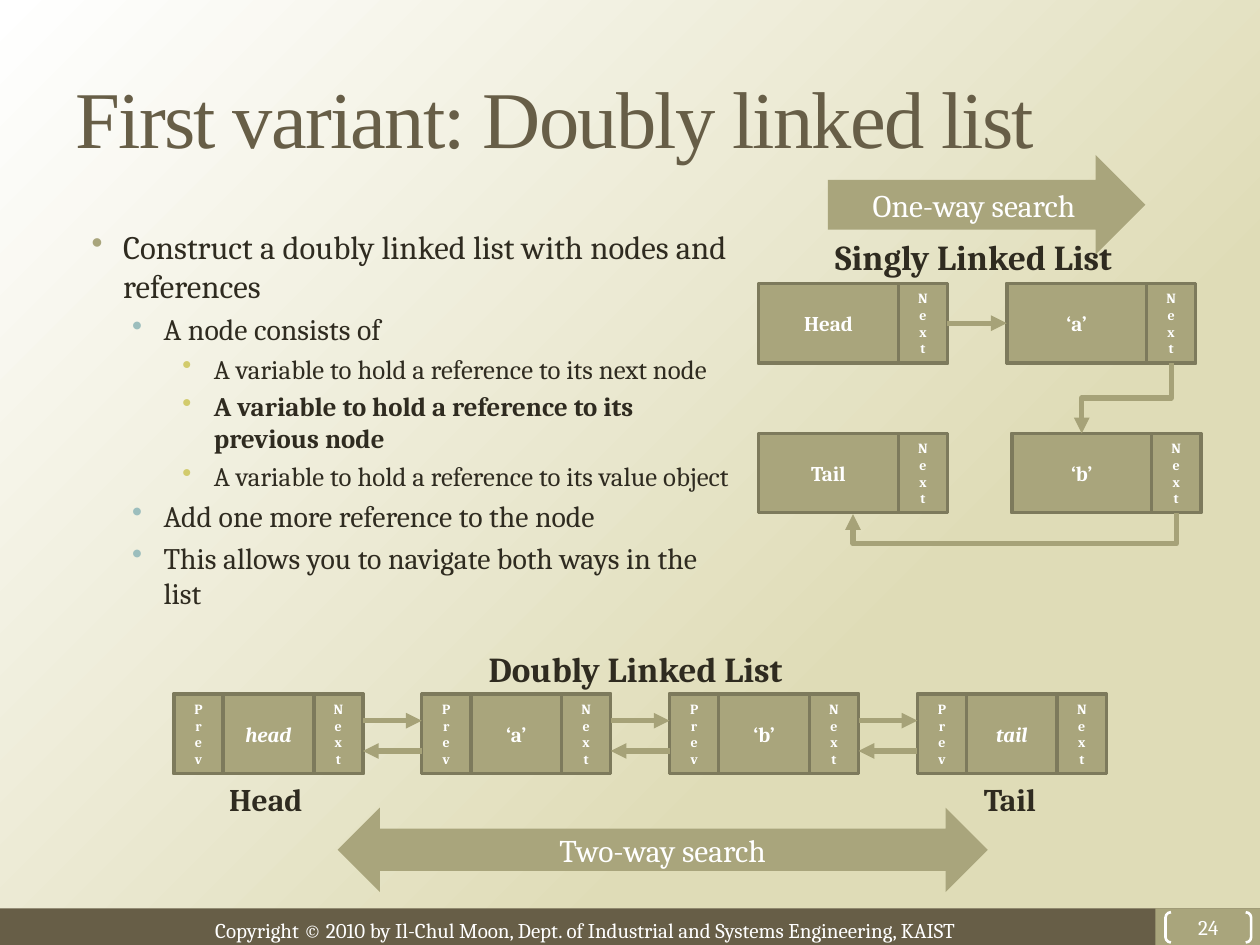
from copy import deepcopy
from dataclasses import dataclass

from lxml import etree
from pptx import Presentation
from pptx.dml.color import RGBColor
from pptx.enum.shapes import MSO_CONNECTOR, MSO_SHAPE
from pptx.enum.text import MSO_ANCHOR, MSO_AUTO_SIZE, PP_ALIGN
from pptx.oxml.ns import qn
from pptx.util import Inches, Pt

RECTANGLE = MSO_SHAPE.RECTANGLE
BRACKETS = MSO_SHAPE.DOUBLE_BRACKET
RIGHT_ARROW = MSO_SHAPE.RIGHT_ARROW
TWO_WAY_ARROW = MSO_SHAPE.LEFT_RIGHT_ARROW
STRAIGHT, ELBOW = MSO_CONNECTOR.STRAIGHT, MSO_CONNECTOR.ELBOW
MIDDLE, TOP = MSO_ANCHOR.MIDDLE, MSO_ANCHOR.TOP
LEFT, CENTER = PP_ALIGN.LEFT, PP_ALIGN.CENTER
GROW = MSO_AUTO_SIZE.SHAPE_TO_FIT_TEXT
TOP_SIDE, LEFT_SIDE, BOTTOM_SIDE, RIGHT_SIDE = range(4)

SLIDE_WIDTH, SLIDE_HEIGHT = Inches(10), Inches(7.5)
COLUMN, ROW = SLIDE_WIDTH / 100, SLIDE_HEIGHT / 75
NODE_WIDTH, NODE_HEIGHT, LINK_WIDTH = 15, 6.3, 3.9


@dataclass(frozen=True)
class Theme:
    serif: str = "Cambria"
    title_font: str = "Times New Roman"
    dark: str = "675E47"
    accent: str = "A9A57C"
    node_line: str = "7D7A5C"
    link_line: str = "A6A278"
    ink: str = "2F2B20"
    white: str = "FFFFFF"
    background: str = "DFDCB7"
    bullets: tuple = ("A9A57C", "9CBEBD", "D2CB6C")
    body_sizes: tuple = (18.7, 17, 15.3)
    body_indents: tuple = (0.38, 0.7, 1.1)
    title_size: float = 46
    heading_size: float = 20
    label_size: float = 18
    small_size: float = 12
    link_size: float = 8


THEME = Theme()


@dataclass(frozen=True)
class Box:
    left: float
    top: float
    width: float
    height: float

    def lengths(self) -> tuple:
        return (int(self.left * COLUMN), int(self.top * ROW),
                int(self.width * COLUMN), int(self.height * ROW))


@dataclass(frozen=True)
class Node:
    value: str
    left: float
    top: float
    has_previous: bool = False
    italic: bool = False


@dataclass(frozen=True)
class Bullet:
    text: str
    level: int
    bold: bool = False


@dataclass(frozen=True)
class Label:
    text: str
    box: Box
    size: float
    color: str = THEME.ink
    bold: bool = True


def write(paragraph, text: str, size: float, color: str, align=LEFT, **formats) -> None:
    paragraph.text = text
    paragraph.alignment = align
    values = {"name": THEME.serif, "size": Pt(size), "bold": False, **formats}
    for run in paragraph.runs:
        for name, value in values.items():
            setattr(run.font, name, value)
        run.font.color.rgb = RGBColor.from_string(color)
    for line_break in paragraph._p.findall(qn("a:br")):
        line_break.append(deepcopy(paragraph.runs[0]._r.rPr))


def add_block(shapes, kind, box: Box, fill=None, line=None, line_width=2.0):
    shape = shapes.add_shape(kind, *box.lengths())
    shape.shadow.inherit = False
    if fill:
        shape.fill.solid()
        shape.fill.fore_color.rgb = RGBColor.from_string(fill)
    else:
        shape.fill.background()
    if line:
        shape.line.color.rgb = RGBColor.from_string(line)
        shape.line.width = Pt(line_width)
    else:
        shape.line.fill.background()
    shape.text_frame.vertical_anchor = MIDDLE
    return shape


def add_text_frame(slide, box: Box, wrap: bool, anchor=TOP):
    frame = slide.shapes.add_textbox(*box.lengths()).text_frame
    frame.word_wrap = wrap
    frame.vertical_anchor = anchor
    return frame


def add_label(slide, label: Label) -> None:
    frame = add_text_frame(slide, label.box, wrap=False)
    frame.auto_size = GROW
    write(frame.paragraphs[0], label.text, label.size, label.color, bold=label.bold)


def add_bullets(slide, box: Box, bullets: list) -> None:
    frame = add_text_frame(slide, box, wrap=True)
    for index, bullet in enumerate(bullets):
        paragraph = frame.add_paragraph() if index else frame.paragraphs[0]
        size = THEME.body_sizes[bullet.level]
        write(paragraph, bullet.text, size, THEME.ink, bold=bullet.bold)
        paragraph.level = bullet.level
        paragraph.space_before = Pt(round(size * 0.2, 1) if index else 0)
        properties = paragraph._p.get_or_add_pPr()
        properties.set("marL", str(Inches(THEME.body_indents[bullet.level])))
        properties.set("indent", str(Inches(-0.25)))
        color = etree.SubElement(properties, qn("a:buClr"))
        etree.SubElement(color, qn("a:srgbClr"), val=THEME.bullets[bullet.level])
        etree.SubElement(properties, qn("a:buChar"), char="•")


def add_node(slide, node: Node) -> dict:
    shapes = slide.shapes.add_group_shape().shapes
    start = LINK_WIDTH if node.has_previous else 0
    end = NODE_WIDTH - LINK_WIDTH
    cells = [("frame", "", 0, NODE_WIDTH), ("next", "\v".join("Next"), end, LINK_WIDTH),
             ("value", node.value, start, end - start)]
    if node.has_previous:
        cells.append(("previous", "\v".join("Prev"), 0, LINK_WIDTH))
    parts = {}
    for role, text, offset, width in cells:
        box = Box(node.left + offset, node.top, width, NODE_HEIGHT)
        parts[role] = add_block(shapes, RECTANGLE, box, THEME.accent, THEME.node_line)
        if text:
            is_value = role == "value"
            size = THEME.small_size if is_value else THEME.link_size
            write(parts[role].text_frame.paragraphs[0], text, size, THEME.white, CENTER,
                  bold=True, italic=is_value and node.italic)
    return parts


def add_arrow(slide, kind, begin=(0, 0), end=(0, 0)):
    points = [int(value * unit) for point in (begin, end)
              for value, unit in zip(point, (COLUMN, ROW))]
    connector = slide.shapes.add_connector(kind, *points)
    connector.line.color.rgb = RGBColor.from_string(THEME.link_line)
    connector.line.width = Pt(3)
    properties = connector._element.spPr
    etree.SubElement(properties.find(qn("a:ln")), qn("a:tailEnd"), type="triangle")
    etree.SubElement(properties, qn("a:effectLst"))
    return connector


def join(slide, kind, source, source_side: int, target, target_side: int):
    connector = add_arrow(slide, kind)
    connector.begin_connect(source, source_side)
    connector.end_connect(target, target_side)
    return connector


def join_downward(slide, source, target, target_side: int, bend: float) -> None:
    connector = join(slide, ELBOW, source, BOTTOM_SIDE, target, target_side)
    across = abs(connector.end_x - connector.begin_x)
    drop = max(connector.end_y - connector.begin_y, int(0.1 * ROW))
    center_x = (connector.begin_x + connector.end_x) // 2
    center_y = connector.begin_y + drop // 2
    frame = {"left": center_x - drop // 2, "top": center_y - across // 2,
             "width": drop, "height": across}
    for name, value in frame.items():
        setattr(connector, name, value)
    properties = connector._element.spPr
    transform = properties.find(qn("a:xfrm"))
    for flip in ("flipH", "flipV"):
        transform.attrib.pop(flip, None)
    transform.set("rot", str(90 * 60000))
    adjustments = properties.find(qn("a:prstGeom")).find(qn("a:avLst"))
    share = round(bend * ROW / drop * 100000)
    etree.SubElement(adjustments, qn("a:gd"), name="adj1", fmla=f"val {share}")


def add_page_frame(slide) -> None:
    fill = slide.background.fill
    fill.gradient()
    fill.gradient_angle = 135
    for stop, position, color in zip(fill.gradient_stops, (0.31, 1), (THEME.background, THEME.white)):
        stop.position = position
        stop.color.rgb = RGBColor.from_string(color)
    add_block(slide.shapes, RECTANGLE, Box(0, 72.1, 100, 2.9), THEME.dark)
    add_block(slide.shapes, RECTANGLE, Box(91.7, 72.1, 8.3, 2.9), THEME.accent)
    number = add_block(slide.shapes, BRACKETS, Box(92.5, 72.4, 6.8, 2.4), None, THEME.white, 1.5)
    number.adjustments[0] = 0.18
    for side in ("left", "top", "right", "bottom"):
        setattr(number.text_frame, f"margin_{side}", 0)
    write(number.text_frame.paragraphs[0], "24", THEME.small_size, THEME.white, CENTER)


def main() -> None:
    presentation = Presentation()
    presentation.slide_width, presentation.slide_height = SLIDE_WIDTH, SLIDE_HEIGHT
    slide = presentation.slides.add_slide(presentation.slide_layouts[6])
    add_page_frame(slide)
    title = add_text_frame(slide, Box(5, 3, 92.2, 12.4), True, MIDDLE).paragraphs[0]
    write(title, "First variant: Doubly linked list", THEME.title_size, THEME.dark, name=THEME.title_font)
    title.runs[0]._r.rPr.set("spc", "-100")
    add_bullets(slide, Box(5, 17.5, 54.4, 33.4), [
        Bullet("Construct a doubly linked list with nodes and references", 0),
        Bullet("A node consists of", 1),
        Bullet("A variable to hold a reference to its next node", 2),
        Bullet("A variable to hold a reference to its previous node", 2, bold=True),
        Bullet("A variable to hold a reference to its value object", 2),
        Bullet("Add one more reference to the node", 1),
        Bullet("This allows you to navigate both ways in the list", 1)])

    first, pitch, top = 13.8, 19.67, 55.1
    for index, value in enumerate(("head", "‘a’", "‘b’", "tail")):
        left = first + index * pitch
        add_node(slide, Node(value, left, top, True, value in ("head", "tail")))
        if index:
            previous_end = left - pitch + NODE_WIDTH
            add_arrow(slide, STRAIGHT, (previous_end, 57.2), (left, 57.2))
            add_arrow(slide, STRAIGHT, (left, 59.6), (previous_end, 59.6))

    head, a_node, b_node, tail = [add_node(slide, node) for node in (
        Node("Head", 60.2, 22.5), Node("‘a’", 79.9, 22.5),
        Node("‘b’", 80.3, 34.4), Node("Tail", 60.2, 34.4))]
    join(slide, STRAIGHT, head["next"], RIGHT_SIDE, a_node["value"], LEFT_SIDE)
    join_downward(slide, b_node["next"], tail["frame"], BOTTOM_SIDE, 2.5)
    join_downward(slide, a_node["next"], b_node["value"], TOP_SIDE, 2.8)

    for label in (
            Label("Copyright © 2010 by Il-Chul Moon, Dept. of Industrial and Systems Engineering, KAIST",
                  Box(16.1, 72.3, 64.1, 3), THEME.small_size, THEME.white, False),
            Label("Head", Box(17.2, 61.4, 8, 4), THEME.label_size),
            Label("Tail", Box(77.1, 61.4, 6.3, 4), THEME.label_size),
            Label("Doubly Linked List", Box(37.8, 50.9, 26.1, 4.4), THEME.heading_size),
            Label("Singly Linked List", Box(65.3, 18.2, 24.6, 4.4), THEME.heading_size)):
        add_label(slide, label)
    for kind, text, box in ((RIGHT_ARROW, "One-way search", Box(65.7, 12.3, 25.2, 7.9)),
                            (TWO_WAY_ARROW, "Two-way search", Box(26.8, 64.1, 51.6, 6.7))):
        arrow = add_block(slide.shapes, kind, box, THEME.accent)
        write(arrow.text_frame.paragraphs[0], text, THEME.label_size, THEME.white, CENTER)
    presentation.save("out.pptx")


if __name__ == "__main__":
    main()
